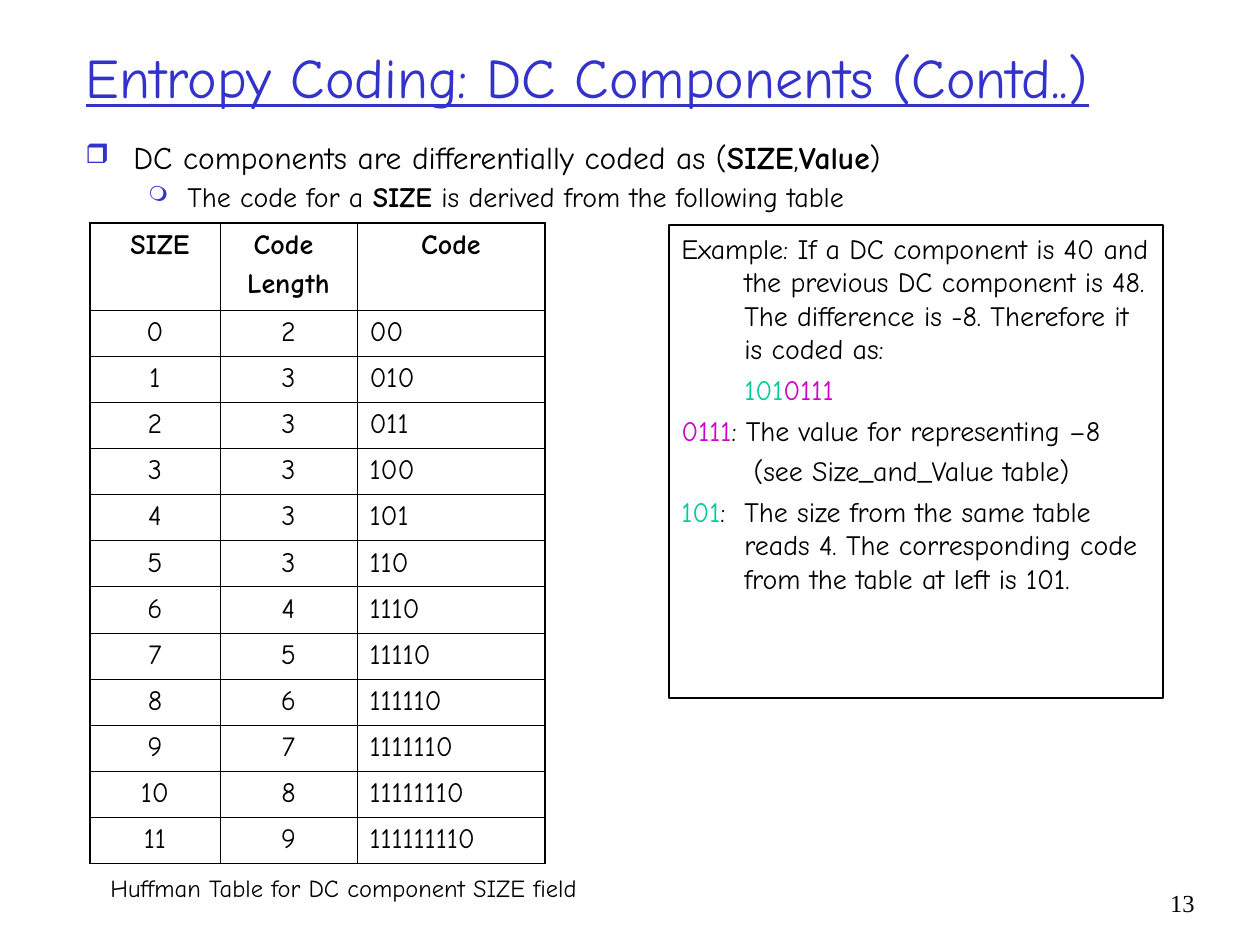
from lxml import etree
from pptx import Presentation
from pptx import util as u
from pptx.dml.color import RGBColor
from pptx.enum import shapes, text
from pptx.oxml.ns import qn

SCALE = 914400 / 126
FONT = "Comic Neue"
INK = {"black": "000000", "blue": "3333CC", "green": "00CC99", "pink": "CC00CC"}
LEFT, MID, RIGHT = text.PP_ALIGN.LEFT, text.PP_ALIGN.CENTER, text.PP_ALIGN.RIGHT

COLS = [130, 137, 188]
HEAD = [[" SIZE"], ["Code ", "Length"], ["Code"]]
CODES = ["00", "010", "011", "100", "101", "110", "1110", "11110",
         "111110", "1111110", "11111110", "111111110"]
POINTS = [
    [("DC components are differentially coded as (",), ("SIZE", "bold"),
     (",",), ("Value", "bold"), (")",)],
    [("The code for a ",), ("SIZE", "bold"),
     (" is derived from the following table",)],
]
EXAMPLE = [
    [("Example: If a DC component is 40 and the previous DC component is 48. "
      "The difference is -8. Therefore it is coded as:",)],
    [("\t",), ("101", "green"), ("0111", "pink")],
    [("0111", "pink"), (": The value for representing –8",)],
    [("\t (see Size_and_Value table)",)],
    [("101", "green"), (":\tThe size from the same table reads 4. "
                        "The corresponding code from the table at left is 101.",)],
]


def px(n):
    return u.Emu(round(n * SCALE))


def write(frame, lines, size=16, align=LEFT, face=FONT, gap=4):
    """Fill a frame; each line is a list of (text, optional "bold" or ink name)."""
    for i, line in enumerate(lines):
        para = frame.add_paragraph() if i else frame.paragraphs[0]
        para.alignment = align
        if i:
            para.space_before = u.Pt(gap)
        for words, *look in line:
            run = para.add_run()
            run.text = words
            font = run.font
            font.name, font.size = face, u.Pt(size)
            font.bold = "bold" in look
            ink = next((k for k in look if k in INK), "black")
            font.color.rgb = RGBColor.from_string(INK[ink])


def indent(para, left, hang):
    props = para._p.get_or_add_pPr()
    props.set("marL", str(px(left)))
    props.set("indent", str(-px(hang)))
    return props


def bullet(para, mark, share, left, hang):
    props = indent(para, left, hang)
    color = etree.SubElement(props, qn("a:buClr"))
    etree.SubElement(color, qn("a:srgbClr"), val=INK["blue"])
    etree.SubElement(props, qn("a:buSzPct"), val=str(share * 1000))
    etree.SubElement(props, qn("a:buChar"), char=mark)


def add_box(slide, *at, wrap=True):
    frame = slide.shapes.add_textbox(*map(px, at)).text_frame
    frame.word_wrap = wrap
    return frame


def add_title(slide, words):
    title = slide.shapes.title
    title.left, title.top, title.width, title.height = map(px, (73, 32, 1092, 88))
    frame = title.text_frame
    frame.auto_size = text.MSO_AUTO_SIZE.NONE
    frame.vertical_anchor = text.MSO_ANCHOR.MIDDLE
    write(frame, [[(words, "blue")]], size=32)
    frame.paragraphs[0].runs[0].font.underline = True


def add_points(slide):
    frame = add_box(slide, 73, 136, 1097, 88)
    top, sub = POINTS
    write(frame, [top, sub])
    first, second = frame.paragraphs
    for run in first.runs:
        run.font.size = u.Pt(18)
    second.level = 1
    bullet(first, "❒", 85, 48, 48)
    bullet(second, "❍", 75, 102, 39)
    for para in frame.paragraphs:
        para.line_spacing = 0.9


def edge(cell, outer):
    """Draw four borders, thicker on the sides named in outer."""
    props = cell._tc.get_or_add_tcPr()
    for side in "LRTB":
        width = u.Pt(1.08 if side in outer else 0.45)
        line = etree.SubElement(props, qn("a:ln" + side), w=str(width))
        fill = etree.SubElement(line, qn("a:solidFill"))
        etree.SubElement(fill, qn("a:srgbClr"), val=INK["black"])


def add_codes(slide):
    count, head, body = len(CODES) + 1, 87, 554
    at = map(px, (90, 223, sum(COLS), head + body))
    table = slide.shapes.add_table(count, len(COLS), *at).table
    table.first_row = table.horz_banding = False
    for col, width in zip(table.columns, COLS):
        col.width = px(width)
    for r, row in enumerate(table.rows):
        row.height = px(body / len(CODES)) if r else px(head)
        if r:
            code = CODES[r - 1]
            size = r - 1
            # The code length follows from the code itself.
            texts = [[str(size)], [str(len(code))], [code]]
        else:
            texts = HEAD
        for c, (cell, lines) in enumerate(zip(row.cells, texts)):
            look = () if r else ("bold",)
            write(cell.text_frame, [[(line, *look)] for line in lines],
                  align=LEFT if r and c == 2 else MID)
            outer = {"L": c == 0, "R": c == 2, "T": r == 0, "B": r == count - 1}
            edge(cell, [side for side, on in outer.items() if on])
            cell.fill.background()


def add_example(slide):
    at = map(px, (669, 225, 494, 473))
    box = slide.shapes.add_shape(shapes.MSO_SHAPE.RECTANGLE, *at)
    box.shadow.inherit = False
    box.fill.background()
    box.line.color.rgb = RGBColor.from_string(INK["black"])
    box.line.width = u.Pt(0.75)
    frame = box.text_frame
    frame.word_wrap = True
    frame.vertical_anchor = text.MSO_ANCHOR.TOP
    write(frame, EXAMPLE)
    for para in frame.paragraphs:
        indent(para, 63, 63)


def main():
    deck = Presentation()
    deck.slide_width, deck.slide_height = px(1260), px(945)
    slide = deck.slides.add_slide(deck.slide_layouts[5])
    add_title(slide, "Entropy Coding: DC Components (Contd..)")
    add_codes(slide)
    add_points(slide)
    add_example(slide)
    write(add_box(slide, 98, 867, 494, 43, wrap=False),
          [[("Huffman Table for DC component SIZE field",)]], size=14)
    write(add_box(slide, 1144, 882, 63, 63), [[("13",)]],
          size=14, align=RIGHT, face="Times New Roman")
    deck.save("out.pptx")


if __name__ == "__main__":
    main()
